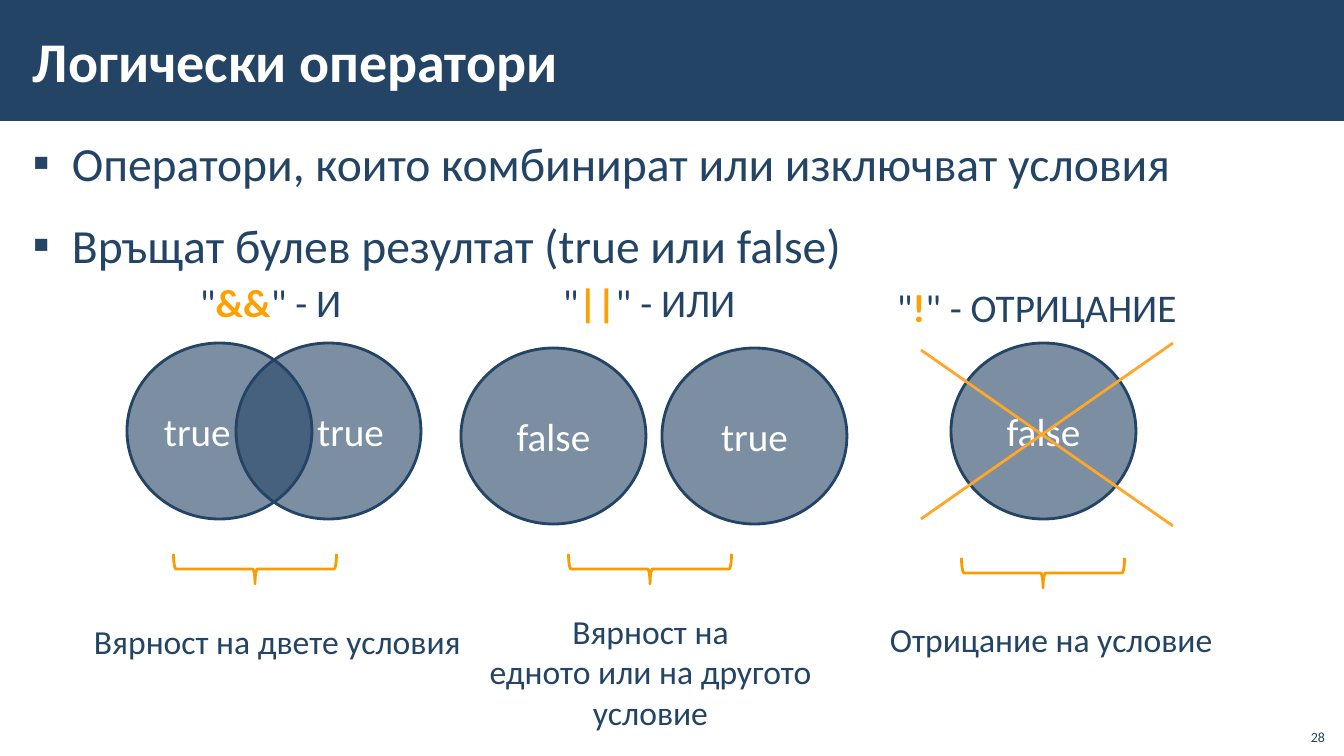
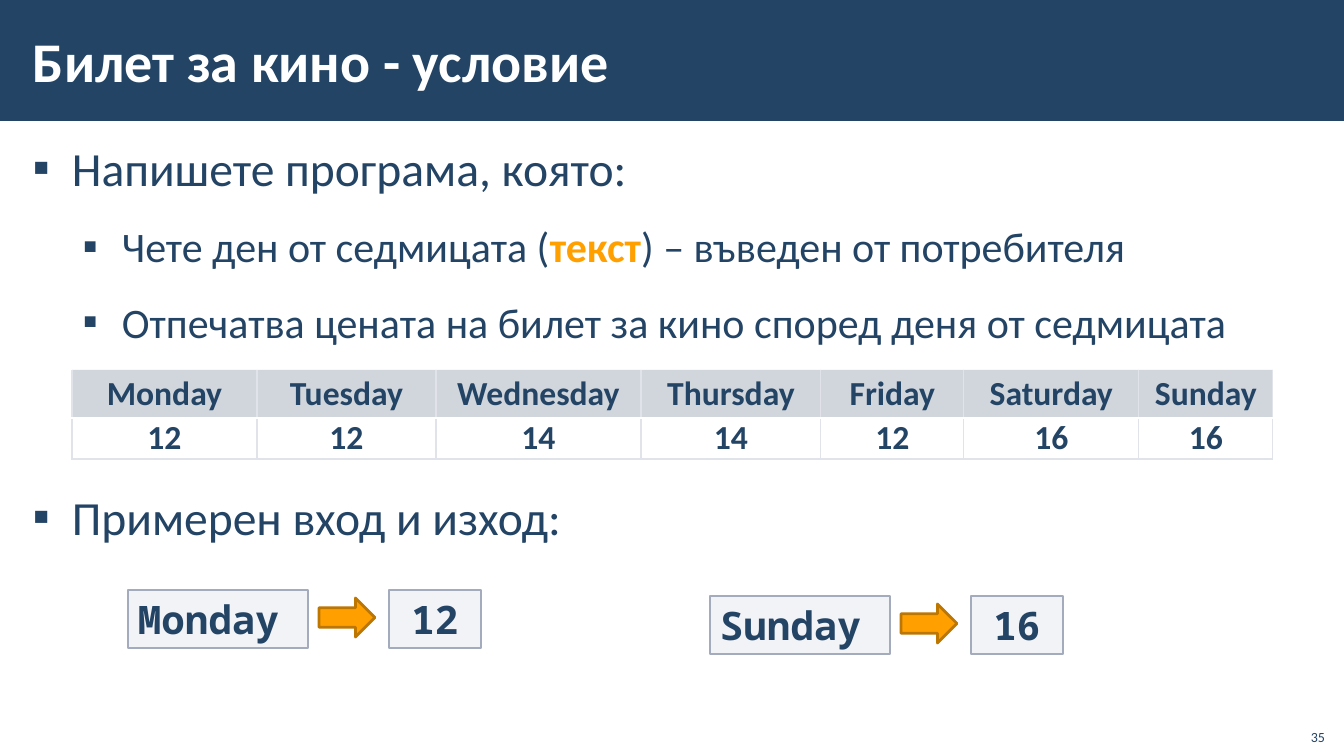
"""Build two lecture slides about logical operators and a cinema ticket task."""
from lxml import etree
from pptx import Presentation
from pptx.dml.color import RGBColor
from pptx.enum.shapes import MSO_CONNECTOR, MSO_SHAPE
from pptx.enum.text import MSO_ANCHOR, MSO_AUTO_SIZE, PP_ALIGN
from pptx.oxml.ns import qn
from pptx.util import Emu, Pt

SCALE = 914400 / 100.8
WIDTH, HEIGHT = 1344, 756
NAVY = RGBColor(0x23, 0x44, 0x65)
WHITE = RGBColor(0xFF, 0xFF, 0xFF)
ORANGE = RGBColor(0xFF, 0xA0, 0x00)
DARK_ORANGE = RGBColor(0xBD, 0x76, 0x00)
BRACE_ORANGE = RGBColor(0xF9, 0x9C, 0x00)
CROSS_ORANGE = RGBColor(0xFF, 0xA7, 0x2A)
BOX_FILL = RGBColor(0xC2, 0xC7, 0xD2)
BOX_LINE = RGBColor(0xA3, 0xAB, 0xBC)
HEADER_FILL = RGBColor(0x67, 0x74, 0x8E)
GRID = RGBColor(0xE0, 0xE3, 0xE9)
SANS, MONO = "Calibri", "Noto Sans Mono"
LEFT, CENTER, RIGHT = PP_ALIGN.LEFT, PP_ALIGN.CENTER, PP_ALIGN.RIGHT
TOP, MIDDLE, BOTTOM = MSO_ANCHOR.TOP, MSO_ANCHOR.MIDDLE, MSO_ANCHOR.BOTTOM
NO_FIT, GROW = MSO_AUTO_SIZE.NONE, MSO_AUTO_SIZE.SHAPE_TO_FIT_TEXT
RECTANGLE, ELLIPSE = MSO_SHAPE.RECTANGLE, MSO_SHAPE.OVAL
BRACE, ARROW = MSO_SHAPE.RIGHT_BRACE, MSO_SHAPE.RIGHT_ARROW
STRAIGHT = MSO_CONNECTOR.STRAIGHT
BULLET_SIZES = (34, 30)
BULLET_MARGINS = (39, 89)


def px(length):
    """Turn pixels into EMU."""
    return Emu(round(length * SCALE))


def set_opacity(element, percent):
    """Make the first solid fill of an element partly transparent."""
    colour = element.find(f".//{qn('a:solidFill')}/{qn('a:srgbClr')}")
    etree.SubElement(colour, qn("a:alpha"), val=str(percent * 1000))


def write(para, text, size, colour=NAVY, bold=False, font=SANS, align=LEFT):
    """Write text whose parts between asterisks are highlighted."""
    para.alignment = align
    for index, part in enumerate(text.split("*")):
        span = para.add_run()
        span.text = part
        marked = index % 2 == 1
        span.font.name = font
        span.font.size = Pt(size)
        span.font.bold = bold or marked
        span.font.color.rgb = ORANGE if marked else colour


def set_borders(cell, colours):
    """Give a cell its left, right, top and bottom lines."""
    properties = cell._tc.get_or_add_tcPr()
    for index, (side, colour) in enumerate(zip("LRTB", colours)):
        line = etree.Element(qn(f"a:ln{side}"), w=str(Pt(1)))
        if colour is None:
            etree.SubElement(line, qn("a:noFill"))
        else:
            fill = etree.SubElement(line, qn("a:solidFill"))
            etree.SubElement(fill, qn("a:srgbClr"), val=str(colour))
        properties.insert(index, line)


class Lecture:
    """Hold the deck, its style and the current slide."""

    def __init__(self):
        """Start a widescreen deck."""
        self.deck = Presentation()
        self.deck.slide_width, self.deck.slide_height = px(WIDTH), px(HEIGHT)

    def start_page(self, title, number):
        """Add a slide with its band, title and number."""
        self.page = self.deck.slides.add_slide(self.deck.slide_layouts[6])
        self.shapes = self.page.shapes
        self.shape(RECTANGLE, 0, 0, WIDTH, 121, NAVY)
        heading = self.text_frame(21, 11, 1072, 98, MIDDLE, inset=True)
        write(heading.paragraphs[0], title, 40, WHITE, bold=True)
        footer = self.text_frame(1295, 718, 40, 32, BOTTOM)
        write(footer.paragraphs[0], number, 10, align=RIGHT)

    def text_frame(self, x, y, width, height, anchor=TOP, inset=False):
        """Add a wrapping text box and return its frame."""
        box = self.shapes.add_textbox(px(x), px(y), px(width), px(height))
        frame = box.text_frame
        frame.word_wrap = True
        frame.auto_size = NO_FIT
        frame.vertical_anchor = anchor
        if inset:
            frame.margin_left = frame.margin_right = px(12)
            frame.margin_top = frame.margin_bottom = px(4)
        return frame

    def bullets(self, y, height, spacing, items):
        """Add bullets given as level, space before and text."""
        frame = self.text_frame(21, y, 1302, height, inset=True)
        for index, (level, before, text) in enumerate(items):
            para = frame.add_paragraph() if index else frame.paragraphs[0]
            write(para, text, BULLET_SIZES[level])
            para.level = level
            para.line_spacing = spacing
            para.space_before, para.space_after = Pt(before), Pt(6)
            properties = para._p.get_or_add_pPr()
            properties.set("marL", str(px(BULLET_MARGINS[level])))
            properties.set("indent", str(-px(39)))
            etree.SubElement(properties, qn("a:buFont"), typeface=SANS)
            etree.SubElement(properties, qn("a:buChar"), char="▪")

    def label(self, x, y, width, height, lines, size, align=LEFT):
        """Add a text box that fits its unwrapped lines."""
        frame = self.text_frame(x, y, width, height)
        frame.word_wrap = False
        frame.auto_size = GROW
        for index, line in enumerate(lines):
            para = frame.add_paragraph() if index else frame.paragraphs[0]
            write(para, line, size, align=align)

    def shape(self, kind, x, y, width, height, fill=None, line=None,
              weight=2, opacity=100):
        """Add a preset shape."""
        shape = self.shapes.add_shape(kind, px(x), px(y), px(width), px(height))
        shape.shadow.inherit = False
        if fill is None:
            shape.fill.background()
        else:
            shape.fill.solid()
            shape.fill.fore_color.rgb = fill
            if opacity < 100:
                set_opacity(shape._element, opacity)
        if line is None:
            shape.line.fill.background()
        else:
            shape.line.color.rgb = line
            shape.line.width = Pt(weight)
        return shape

    def circle(self, x, y, text, align=CENTER):
        """Add a translucent circle with a value."""
        circle = self.shape(ELLIPSE, x, y, 185, 176, NAVY, NAVY, opacity=60)
        circle.text_frame.vertical_anchor = MIDDLE
        write(circle.text_frame.paragraphs[0], text, 28, WHITE, align=align)

    def brace(self, center, middle):
        """Add a brace that opens upwards."""
        width, height = 30, 163
        brace = self.shape(BRACE, center - width / 2, middle - height / 2,
                           width, height, line=BRACE_ORANGE)
        brace.rotation = 90

    def line(self, x1, y1, x2, y2):
        """Add a straight orange line."""
        line = self.shapes.add_connector(STRAIGHT, px(x1), px(y1), px(x2), px(y2))
        line.line.color.rgb = CROSS_ORANGE
        line.line.width = Pt(2)
        etree.SubElement(line._element.spPr, qn("a:effectLst"))

    def code_box(self, x, y, width, text, align=LEFT):
        """Add a pale box with code text."""
        box = self.shape(RECTANGLE, x, y, width, 58, BOX_FILL, BOX_LINE, 1, 20)
        box.text_frame.vertical_anchor = TOP
        box.text_frame.word_wrap = True
        write(box.text_frame.paragraphs[0], text, 28, bold=True, font=MONO,
              align=align)

    def example(self, x, y, source, result):
        """Add a group of input, arrow and output."""
        self.shapes = self.page.shapes.add_group_shape().shapes
        self.code_box(x, y, 180, source)
        self.code_box(x + 261, y, 92, result, CENTER)
        self.shape(ARROW, x + 191, y + 8, 56, 39, ORANGE, DARK_ORANGE)
        self.shapes = self.page.shapes

    def table(self, x, y, widths, heights, rows):
        """Add a table with a tinted header row."""
        frame = self.shapes.add_table(len(rows), len(widths), px(x), px(y),
                                      px(sum(widths)), px(sum(heights)))
        table = frame.table
        table.first_row = table.horz_banding = False
        for column, width in zip(table.columns, widths):
            column.width = px(width)
        for index, (row, height, values) in enumerate(
                zip(table.rows, heights, rows)):
            row.height = px(height)
            for cell, value in zip(row.cells, values):
                cell.margin_left = cell.margin_right = px(7)
                cell.margin_top = cell.margin_bottom = 0
                cell.vertical_anchor = MIDDLE
                write(cell.text_frame.paragraphs[0], value, 24, bold=True,
                      align=CENTER)
                if index == 0:
                    cell.fill.solid()
                    cell.fill.fore_color.rgb = HEADER_FILL
                    set_opacity(cell._tc.tcPr, 30)
                    set_borders(cell, (GRID, GRID, None, WHITE))
                else:
                    cell.fill.background()
                    set_borders(cell, (GRID, GRID, WHITE, GRID))


def build_operators(lecture):
    """Build the slide about logical operators."""
    lecture.start_page("Логически оператори", "28")
    lecture.bullets(121, 614, 1.15, (
        (0, 6, "Оператори, които комбинират или изключват условия"),
        (0, 6, "Връщат булев резултат (true или false)")))
    for x, y, text, align in ((127, 343, "true", LEFT), (236, 343, "true", RIGHT),
                              (461, 348, "false", CENTER),
                              (662, 348, "true", CENTER),
                              (951, 343, "false", CENTER)):
        lecture.circle(x, y, text, align)
    for x, y, width, text in ((190, 273, 163, '"*&&*" - И'),
                              (553, 273, 194, '"*||*" - ИЛИ'),
                              (887, 278, 312, '"*!*" - ОТРИЦАНИЕ')):
        lecture.label(x, y, width, 57, (text,), 28)
    for center, middle in ((255, 569), (650, 569), (1043, 573)):
        lecture.brace(center, middle)
    lecture.label(84, 616, 390, 50, ("Вярност на двете условия",), 24)
    lecture.label(474, 606, 353, 132, (
        "Вярност на", "едното или на другото", "условие"), 24, CENTER)
    lecture.label(880, 614, 347, 50, ("Отрицание на условие",), 24)
    lecture.line(1173, 343, 921, 519)
    lecture.line(1173, 526, 921, 350)


def build_ticket(lecture):
    """Build the slide about the cinema ticket task."""
    lecture.start_page("Билет за кино - условие", "35")
    lecture.bullets(132, 610, 1.05, (
        (0, 6, "Напишете програма, която:"),
        (1, 10, "Чете ден от седмицата (*текст*) – въведен от потребителя"),
        (1, 10, "Отпечатва цената на билет за кино според деня от седмицата"),
        (0, 93, "Примерен вход и изход:")))
    lecture.example(128, 590, "Monday", "12")
    lecture.example(710, 596, "Sunday", "16")
    lecture.table(72, 370, (185, 179, 205, 180, 143, 175, 134), (48, 40), (
        ("Monday", "Tuesday", "Wednesday", "Thursday", "Friday", "Saturday",
         "Sunday"),
        ("12", "12", "14", "14", "12", "16", "16")))


lecture = Lecture()
build_operators(lecture)
build_ticket(lecture)
lecture.deck.save("out.pptx")
